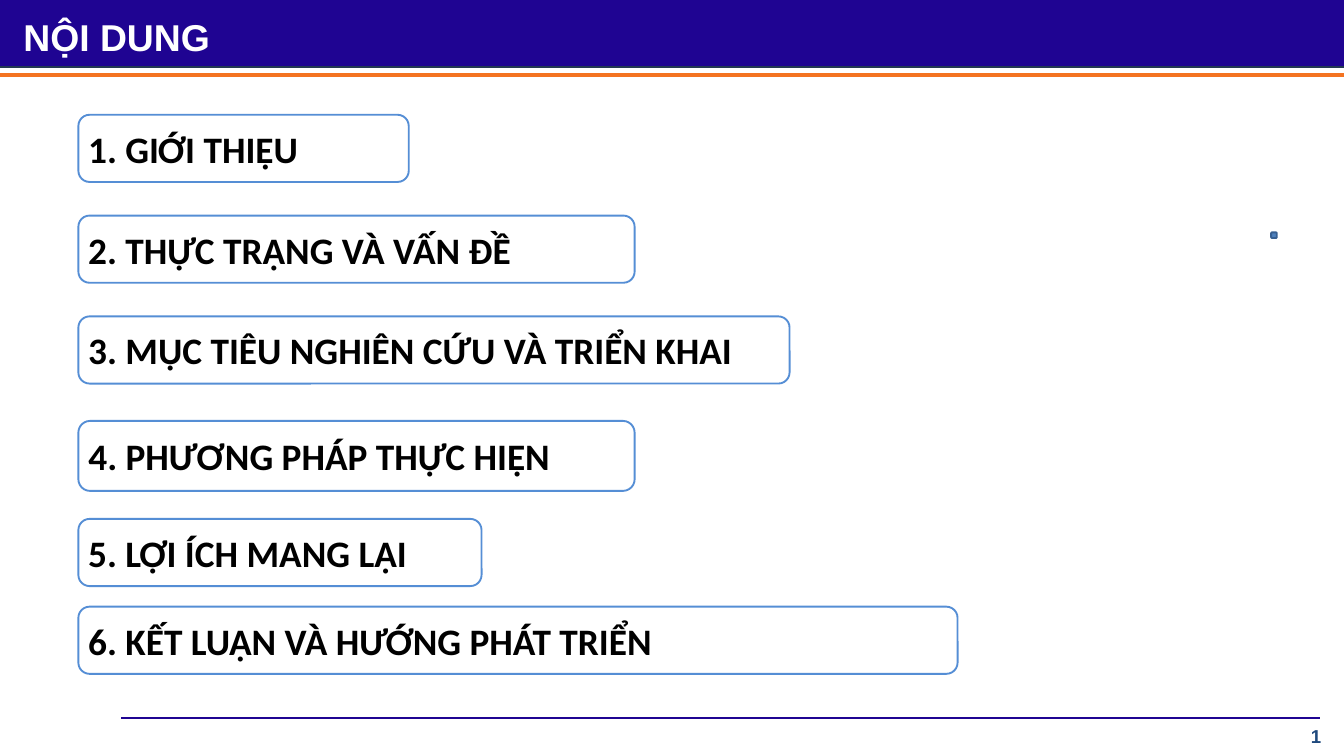
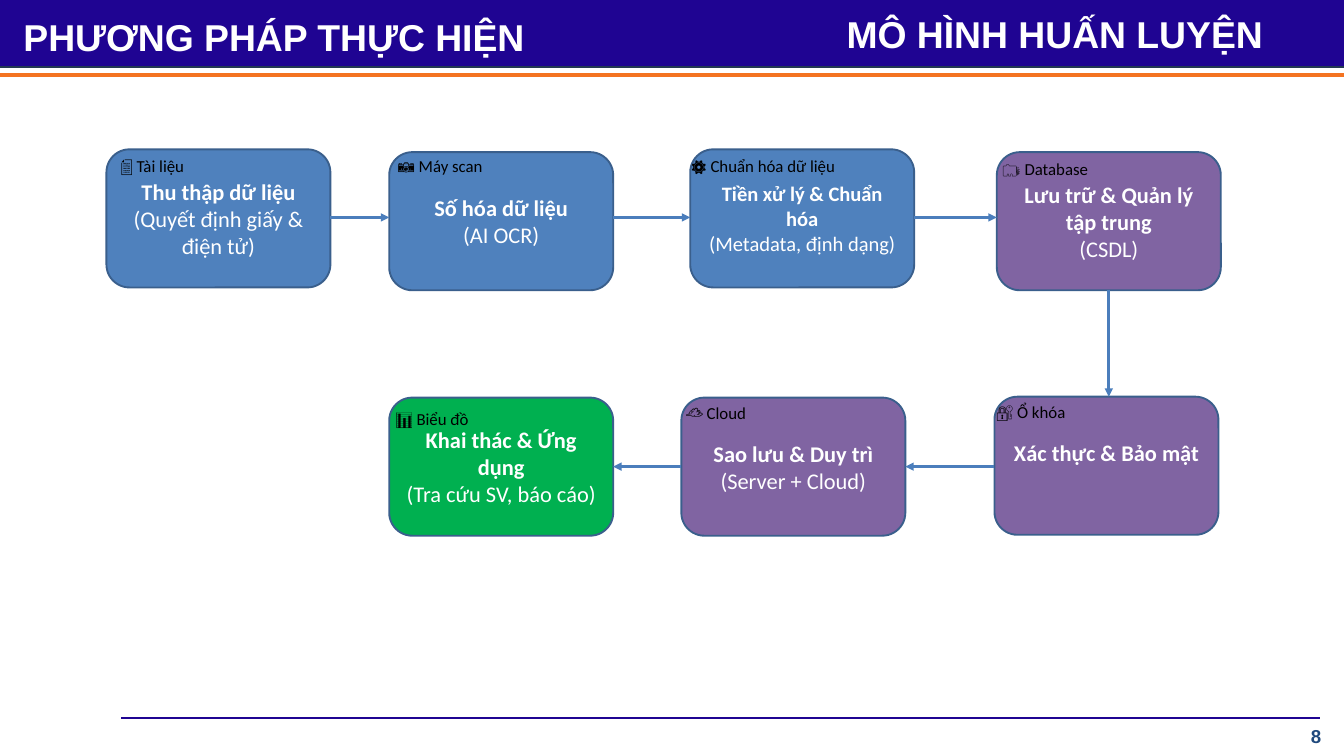
from itertools import pairwise

from lxml import etree
from pptx import Presentation
from pptx.dml.color import RGBColor
from pptx.enum import shapes as kinds, text as txt
from pptx.oxml.ns import qn
from pptx.util import Pt

WHITE = RGBColor(255, 255, 255)
BLACK = RGBColor(0, 0, 0)
NAVY = RGBColor(0x1F, 0x04, 0x92)
EDGE = RGBColor(0x23, 0x39, 0x53)
ORANGE = RGBColor(0xF4, 0x73, 0x21)
SLATE = RGBColor(0x1F, 0x49, 0x7D)
BLUE = RGBColor(0x4F, 0x81, 0xBD)
DEEP = RGBColor(0x37, 0x60, 0x92)
SKY = RGBColor(0x55, 0x8E, 0xD5)
RIM = RGBColor(0x3A, 0x5F, 0x8C)
ARROW = RGBColor(0x4B, 0x7E, 0xBC)
PURPLE = RGBColor(0x80, 0x64, 0xA2)
GREEN = RGBColor(0, 0xB0, 0x50)

WIDE, HIGH = 1440, 810
ROUND = kinds.MSO_SHAPE.ROUNDED_RECTANGLE
RECT = kinds.MSO_SHAPE.RECTANGLE
LEFT, CENTER = txt.PP_ALIGN.LEFT, txt.PP_ALIGN.CENTER

# text, top, width, height
TOPICS = [
    ("1. GIỚI THIỆU", 123, 354, 72),
    ("2. THỰC TRẠNG VÀ VẤN ĐỀ", 231, 596, 72),
    ("3. MỤC TIÊU NGHIÊN CỨU VÀ TRIỂN KHAI", 339, 762, 72),
    ("4. PHƯƠNG PHÁP THỰC HIỆN", 451, 596, 75),
    ("5. LỢI ÍCH MANG LẠI", 556, 432, 72),
    ("6. KẾT LUẬN VÀ HƯỚNG PHÁT TRIỂN", 650, 942, 72),
]
TOPIC_X = 84

# name, detail, tag, fill, size, row, (left, top), tag offset
STEPS = [
    ("Thu thập dữ liệu", "(Quyết định giấy & điện tử)", "📄 Tài liệu",
     BLUE, 24, 0, (114, 160), (8.5, 3)),
    ("Số hóa dữ liệu", "(AI OCR)", "📷 Máy scan",
     BLUE, 24, 0, (417, 163), (2, 0)),
    ("Tiền xử lý & Chuẩn hóa", "(Metadata, định dạng)", "⚙️ Chuẩn hóa dữ liệu",
     BLUE, 22, 0, (739.5, 160), (-6, 3)),
    ("Lưu trữ & Quản lý tập trung", "(CSDL)", "🗂 Database",
     PURPLE, 24, 0, (1068, 163), (-1, 3)),
    ("Xác thực & Bảo mật", "", "🔐 Ổ khóa",
     PURPLE, 24, 1, (1065.5, 425), (-5, 2)),
    ("Sao lưu & Duy trì", "(Server + Cloud)", "☁️ Cloud",
     PURPLE, 24, 1, (730, 426), (-2, 2)),
    ("Khai thác & Ứng dụng", "(Tra cứu SV, báo cáo)", "📊 Biểu đồ",
     GREEN, 24, 1, (417, 426), (0, 8)),
]
STEP_W, STEP_H = 240, 148
ROW_Y = (233, 500)
TURN_X = 1188


def style(para, size, color, face, bold=False, align=LEFT):
    para.alignment = align
    font = para.font
    font.size, font.name, font.bold = Pt(size), face, bold
    font.color.rgb = color


def add_box(slide, kind, area, fill, edge):
    box = slide.shapes.add_shape(kind, *map(Pt, area))
    box.shadow.inherit = False
    box.fill.solid()
    box.fill.fore_color.rgb = fill
    box.line.color.rgb = edge
    box.line.width = Pt(2)
    box.text_frame.word_wrap = True
    box.text_frame.vertical_anchor = txt.MSO_ANCHOR.MIDDLE
    return box


def add_text(slide, words, area, *look, **more):
    frame = slide.shapes.add_textbox(*map(Pt, area)).text_frame
    frame.word_wrap = True
    frame.text = words
    style(frame.paragraphs[0], *look, **more)
    return frame


def add_line(slide, start, end, color, width, head=False):
    line = slide.shapes.add_connector(
        kinds.MSO_CONNECTOR.STRAIGHT, *map(Pt, start + end))
    line.line.color.rgb = color
    line.line.width = Pt(width)
    if head:
        tip = etree.SubElement(line.line._get_or_add_ln(), qn("a:tailEnd"))
        tip.set("type", "triangle")
    etree.SubElement(line._element.spPr, qn("a:effectLst"))


def add_title(slide, words, left, top, width):
    add_text(slide, words, (left, top, width, 55), 40, WHITE, "Arial", bold=True)


def add_slide(deck, title, number):
    """Add a slide with the shared band, rules, title and number."""
    slide = deck.slides.add_slide(deck.slide_layouts[6])
    add_line(slide, (0, 80.5), (WIDE, 80.5), ORANGE, 4.5)
    frame = add_text(slide, number, (1380, 777, 60, 24), 20, SLATE, "Arial",
                     bold=True, align=CENTER)
    frame.vertical_anchor = txt.MSO_ANCHOR.MIDDLE
    add_box(slide, RECT, (-1.5, -3, WIDE + 2, 75), NAVY, EDGE)
    add_title(slide, title, 18, 11.5, 816)
    add_line(slide, (130, 769.5), (1414, 769.5), NAVY, 1.5)
    return slide


def add_topics(slide):
    add_box(slide, ROUND, (1362, 249, 6, 6), BLUE, DEEP)
    for words, top, width, height in TOPICS:
        box = add_box(slide, ROUND, (TOPIC_X, top, width, height), WHITE, SKY)
        box.text_frame.text = words
        style(box.text_frame.paragraphs[0], 40, BLACK, "Calibri", bold=True)


def add_step(slide, name, detail, fill, size, spot):
    box = add_box(slide, ROUND, (*spot, STEP_W, STEP_H), fill, RIM)
    para = box.text_frame.paragraphs[0]
    style(para, size, WHITE, "Calibri", align=CENTER)
    run = para.add_run()
    run.text = name
    run.font.bold = True
    para.add_line_break()
    if detail:
        para.add_run().text = detail


def add_flow(slide):
    for name, detail, _, fill, size, _, spot, _ in STEPS:
        add_step(slide, name, detail, fill, size, spot)
    for (*_, row, (left, top), _), (*_, goal, (next_x, next_y), _) in pairwise(STEPS):
        if row != goal:
            start, end = (TURN_X, top + STEP_H), (TURN_X, next_y)
        elif next_x > left:
            start, end = (left + STEP_W, ROW_Y[row]), (next_x, ROW_Y[row])
        else:
            start, end = (left, ROW_Y[row]), (next_x + STEP_W, ROW_Y[row])
        add_line(slide, start, end, ARROW, 3, head=True)
    for _, _, tag, _, _, _, (left, top), (dx, dy) in STEPS:
        add_text(slide, tag, (left + dx, top + dy, STEP_W, 29), 18, BLACK, "Calibri")


def main():
    deck = Presentation()
    deck.slide_width, deck.slide_height = Pt(WIDE), Pt(HIGH)
    add_topics(add_slide(deck, "NỘI DUNG", "1"))
    slide = add_slide(deck, "PHƯƠNG PHÁP THỰC HIỆN", "8")
    add_title(slide, "MÔ HÌNH HUẤN LUYỆN", 900, 8.5, 540)
    add_flow(slide)
    deck.save("out.pptx")


if __name__ == "__main__":
    main()
